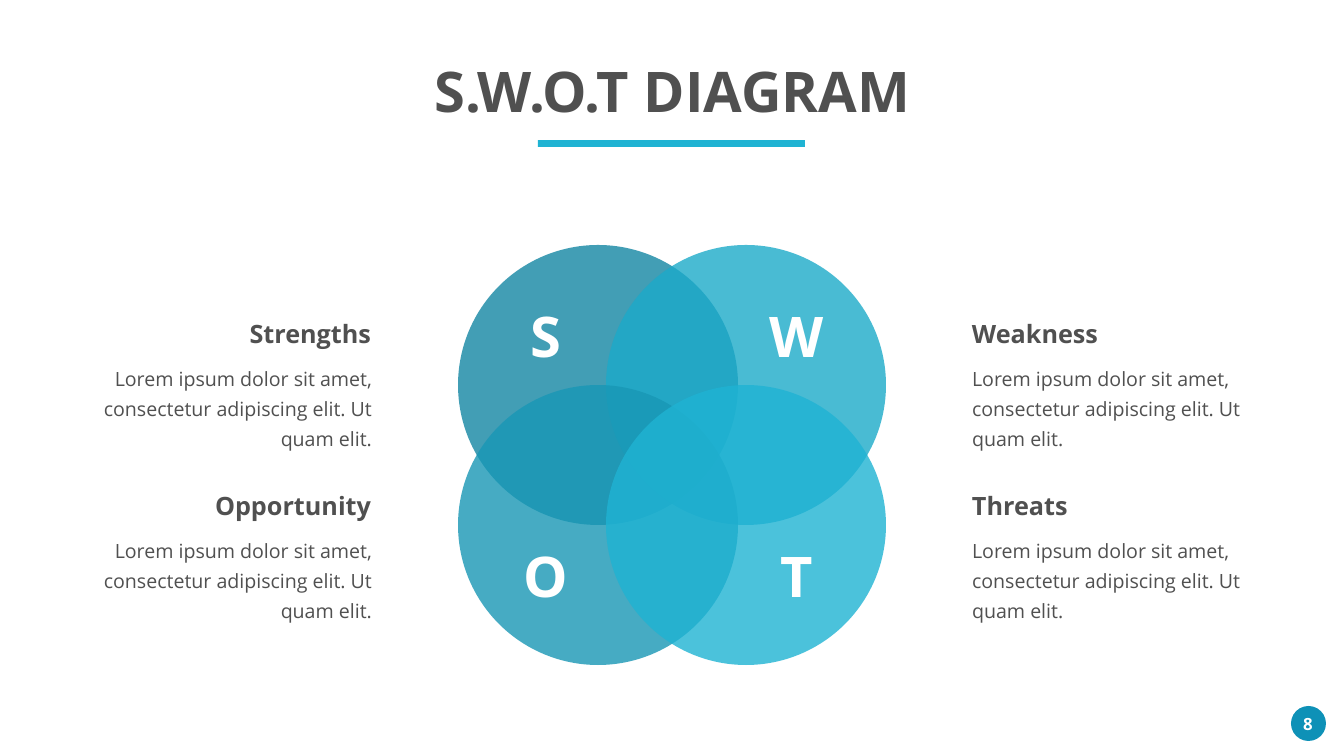
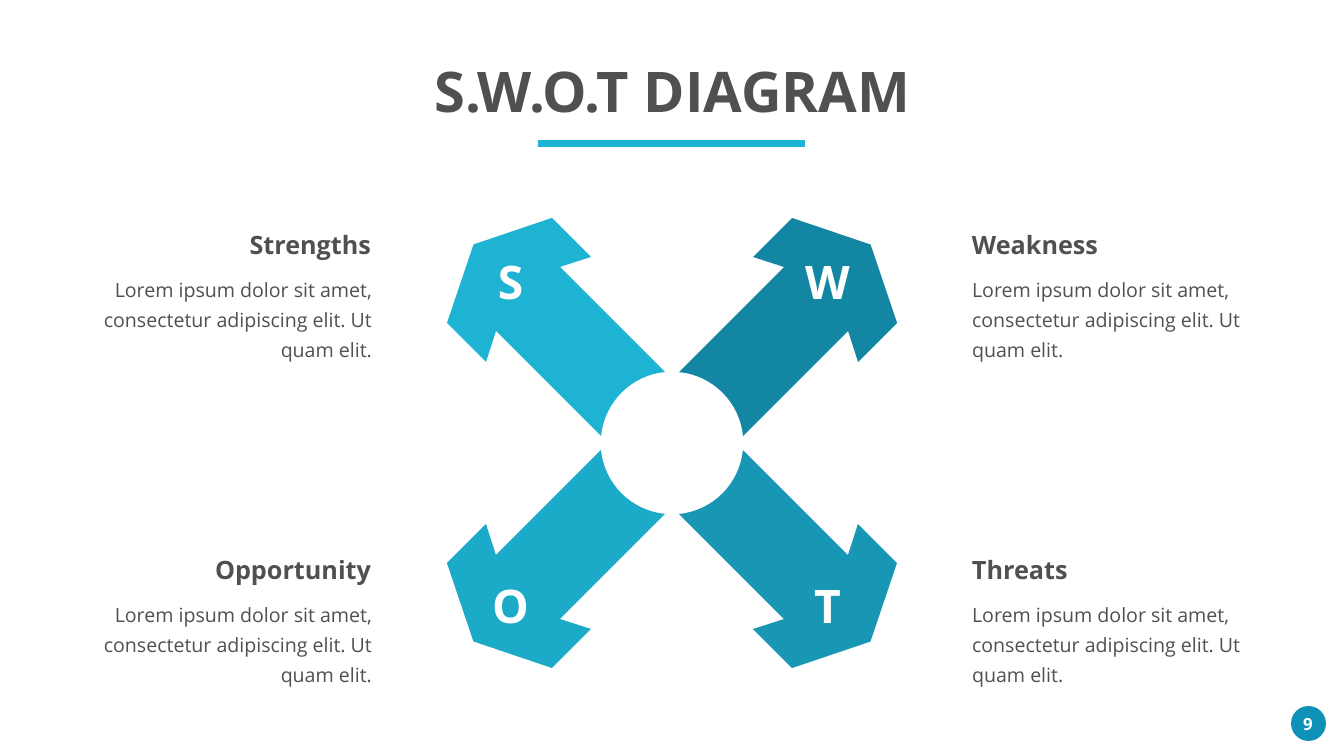
from dataclasses import dataclass
from math import asin, cos, sin

from lxml import etree
from pptx import Presentation
from pptx.dml.color import RGBColor
from pptx.enum.shapes import MSO_SHAPE as Kind
from pptx.enum.text import MSO_ANCHOR as Anchor
from pptx.enum.text import MSO_AUTO_SIZE as Fit
from pptx.enum.text import PP_ALIGN as Align
from pptx.oxml.ns import qn
from pptx.util import Emu, Inches, Pt

# Scale and page, in pixels
SCALE = 914400 / 50.4
WIDE, HIGH = 1344, 756

# Colours and font
WHITE = RGBColor(0xFF, 0xFF, 0xFF)
GREY = RGBColor(0x50, 0x50, 0x50)
BADGE = RGBColor(0x0E, 0x91, 0xB7)
DEEP = RGBColor(0x13, 0x86, 0xA3)
TEAL = RGBColor(0x18, 0x97, 0xB5)
CYAN = RGBColor(0x1C, 0xAA, 0xC9)
SKY = RGBColor(0x1F, 0xB3, 0xD3)
FONT = "Open Sans"

LOREM = "Lorem ipsum dolor sit amet, consectetur adipiscing elit. Ut quam elit."


@dataclass(frozen=True)
class Box:
    x: int
    y: int
    w: int
    h: int


@dataclass(frozen=True)
class Style:
    size: int
    color: RGBColor = GREY
    bold: bool = True
    align: Align = Align.CENTER


@dataclass(frozen=True)
class Part:
    """One field of the diagram, at a column and row of the 2 by 2 grid."""
    name: str
    col: int
    row: int
    disc: RGBColor
    arrow: RGBColor
    aim: tuple[int, int]  # direction of the arrow before its 45 degree turn


PARTS = (
    Part("Strengths", 0, 0, DEEP, SKY, (-1, 0)),
    Part("Weakness", 1, 0, CYAN, DEEP, (0, -1)),
    Part("Opportunity", 0, 1, TEAL, CYAN, (0, 1)),
    Part("Threats", 1, 1, SKY, TEAL, (1, 0)),
)


def px(num: float) -> Emu:
    return Emu(round(num * SCALE))


def place(shape, box: Box) -> None:
    shape.left, shape.top = px(box.x), px(box.y)
    shape.width, shape.height = px(box.w), px(box.h)


def paint(shape, color: RGBColor) -> None:
    shape.fill.solid()
    shape.fill.fore_color.rgb = color
    shape.line.fill.background()
    shape.shadow.inherit = False


def draw(slide, kind: Kind, box: Box, color: RGBColor):
    shape = slide.shapes.add_shape(
        kind, px(box.x), px(box.y), px(box.w), px(box.h))
    paint(shape, color)
    return shape


def fade(shape, share: int) -> None:
    """Set the opacity of a solid fill in percent."""
    tint = shape.fill._xPr.find(qn("a:solidFill"))[0]
    etree.SubElement(tint, qn("a:alpha")).set("val", str(share * 1000))


def write(shape, text: str, style: Style, wrap: bool = True):
    frame = shape.text_frame
    frame.word_wrap = wrap
    frame.auto_size = Fit.SHAPE_TO_FIT_TEXT
    para = frame.paragraphs[0]
    para.alignment = style.align
    run = para.add_run()
    run.text = text
    font = run.font
    font.name, font.size, font.bold = FONT, Pt(style.size), style.bold
    font.color.rgb = style.color
    return frame


def label(slide, box: Box, text: str, style: Style, wrap: bool = True):
    shape = slide.shapes.add_textbox(
        px(box.x), px(box.y), px(box.w), px(box.h))
    return write(shape, text, style, wrap)


# Shared frame: badge, title and rule
def start(deck, number: int):
    slide = deck.slides.add_slide(deck.slide_layouts[5])
    draw(slide, Kind.OVAL, Box(1291, 706, 35, 35), BADGE)
    label(slide, Box(1288, 711, 40, 25), str(number), Style(24, WHITE))
    draw(slide, Kind.RECTANGLE, Box(538, 140, 267, 7), SKY)
    title = slide.shapes.title
    place(title, Box(397, 54, 551, 73))
    frame = write(title, "S.W.O.T DIAGRAM", Style(80))
    frame.vertical_anchor = Anchor.MIDDLE
    return slide


# Heading and text beside the diagram
def note(slide, part: Part, top: int) -> None:
    align = (Align.RIGHT, Align.LEFT)[part.col]
    left = (70, 960)[part.col]
    frame = label(slide, Box(left, top + 38, 314, 103), LOREM,
                  Style(28, bold=False, align=align))
    frame.margin_left = frame.margin_right = Inches(0.24)
    frame.margin_top = frame.margin_bottom = Inches(0.12)
    para = frame.paragraphs[0]
    para.line_spacing, para.space_before = Pt(43), Pt(5.6)
    left = (117, 967)[part.col]
    label(slide, Box(left, top, 259, 36), part.name, Style(36, align=align))


# Arrow outline as (distance from hub, offset from axis)
HUB = (672, 443)
ROUND = 71.3
HALF = 45.3
SIDE = [(203.6, HALF), (188.8, 74.2), (244, 74.2)]
TIP = (280.7, 0)
MID = 168  # distance from hub to the middle of an arrow
STEPS = 16


def outline() -> list[tuple[float, float]]:
    edge = asin(HALF / ROUND)
    turns = [edge * (2 * i / STEPS - 1) for i in range(STEPS + 1)]
    arc = [(ROUND * cos(t), ROUND * sin(t)) for t in turns]
    back = [(u, -v) for u, v in reversed(SIDE)]
    return arc + SIDE + [TIP] + back


def arrow(slide, part: Part) -> None:
    dx, dy = part.aim
    shift = MID * sin(0.7854)
    cx = HUB[0] + shift * (2 * part.col - 1)
    cy = HUB[1] + shift * (2 * part.row - 1)
    spots = [(px(cx + (u - MID) * dx - v * dy), px(cy + (u - MID) * dy + v * dx))
             for u, v in outline()]
    pen = slide.shapes.build_freeform(*spots[0], scale=1.0)
    pen.add_line_segments(spots[1:], close=True)
    shape = pen.convert_to_shape()
    paint(shape, part.arrow)
    shape.rotation = 45


# Slide with four overlapping discs
def discs(deck) -> None:
    slide = start(deck, 8)
    for part in PARTS:
        box = Box(458 + 148 * part.col, 245 + 140 * part.row, 280, 280)
        fade(draw(slide, Kind.OVAL, box, part.disc), 80)
    for part in PARTS:
        note(slide, part, (316, 488)[part.row])
    for part in PARTS:
        box = Box(504 + 251 * part.col, 299 + 240 * part.row, 84, 73)
        label(slide, box, part.name[0], Style(80, WHITE))


# Slide with four arrows around a hub
def arrows(deck) -> None:
    slide = start(deck, 9)
    for part in PARTS:
        arrow(slide, part)
    for part in PARTS:
        box = Box(483 + 317 * part.col, 251 + 324 * part.row, 55, 61)
        label(slide, box, part.name[0], Style(66, WHITE), wrap=False)
    for part in PARTS:
        note(slide, part, (227, 552)[part.row])


def main() -> None:
    deck = Presentation()
    deck.slide_width, deck.slide_height = px(WIDE), px(HIGH)
    discs(deck)
    arrows(deck)
    deck.save("out.pptx")


main()
